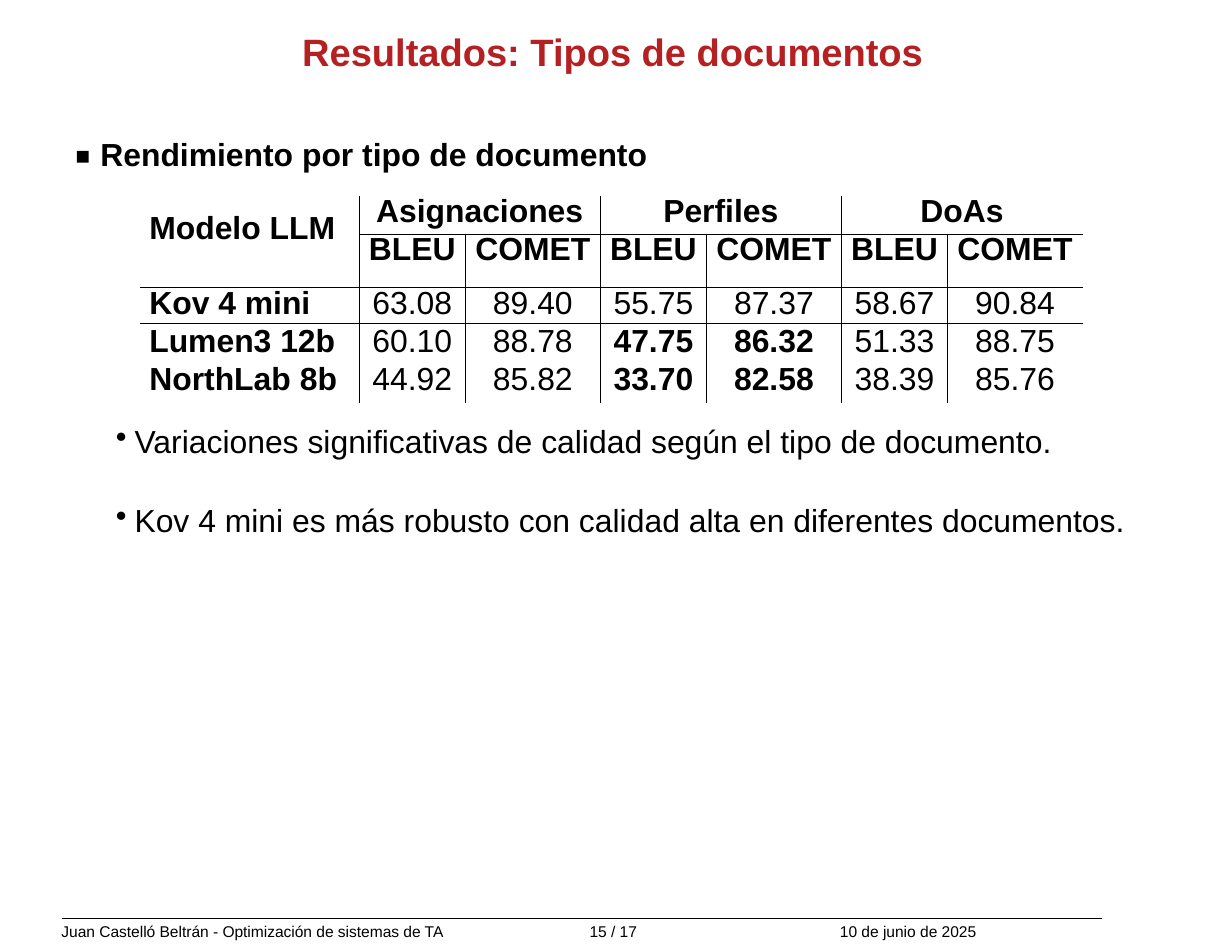
from dataclasses import dataclass

from lxml import etree
from pptx import Presentation
from pptx.dml.color import RGBColor
from pptx.enum import shapes, text
from pptx.oxml.ns import qn
from pptx.util import Pt


@dataclass(frozen=True)
class Theme:
    font: str = "Arial"
    ink: str = "000000"
    accent: str = "B52123"
    title: float = 24.5
    body: float = 20.5
    footer: float = 10
    rule: float = 0.5


GROUPS = ["Asignaciones", "Perfiles", "DoAs"]
RESULTS = [
    ["Kov 4 mini", "63.08", "89.40", "55.75", "87.37", "58.67", "90.84"],
    ["Lumen3 12b", "60.10", "88.78", "47.75", "86.32", "51.33", "88.75"],
    ["NorthLab 8b", "44.92", "85.82", "33.70", "82.58", "38.39", "85.76"],
]
HIGHLIGHTS = {"47.75", "86.32", "33.70", "82.58"}
COLUMN_WIDTHS = [141] + [68.25, 86.75] * len(GROUPS)
ROW_HEIGHTS = [24.75, 34, 23, 24.75, 26.5]
LINE_SPACINGS = [21.4, 21.2, 21.6, 23.2, 23.2]


def rule_left(row, col):
    """Whether a rule runs along the left edge of this grid position."""
    return 0 < col < len(COLUMN_WIDTHS) and (row > 0 or col % 2 == 1)


def rule_above(row, col):
    """Whether a rule runs along the top edge of this grid position."""
    return row in (2, 3) or (row == 1 and col > 0)


class SlideBuilder:
    def __init__(self, slide, theme):
        self.slide = slide
        self.theme = theme

    def style(self, paragraph, size, bold=False, color=None):
        font = paragraph.font
        font.name, font.size, font.bold = self.theme.font, Pt(size), bold
        font.color.rgb = RGBColor.from_string(color or self.theme.ink)

    def text(self, left, top, width, height, lines, size, bold=False, color=None,
             align=text.PP_ALIGN.LEFT, wrap=False, bullet=None, gap=0):
        box = self.slide.shapes.add_textbox(Pt(left), Pt(top), Pt(width), Pt(height))
        frame = box.text_frame
        frame.word_wrap = wrap
        frame.margin_left = frame.margin_right = frame.margin_bottom = 0
        frame.margin_top = Pt(1.5)
        frame.text = "\n".join(lines)
        for index, paragraph in enumerate(frame.paragraphs):
            paragraph.alignment = align
            paragraph.space_before = Pt(gap if index else 1)
            self.style(paragraph, size, bold, color)
            if bullet:
                self.bullet(paragraph, bullet)

    def bullet(self, paragraph, mark):
        properties = paragraph._p.get_or_add_pPr()
        properties.set("marL", str(Pt(13)))
        properties.set("indent", str(Pt(-12)))
        bullet = etree.Element(qn("a:buChar"), char=mark)
        properties.find(qn("a:defRPr")).addprevious(bullet)

    def square(self, left, top, side):
        square = self.slide.shapes.add_shape(
            shapes.MSO_SHAPE.RECTANGLE, Pt(left), Pt(top), Pt(side), Pt(side))
        square.shadow.inherit = False
        square.fill.solid()
        square.fill.fore_color.rgb = RGBColor.from_string(self.theme.ink)
        square.line.fill.background()

    def line(self, left, right, y):
        line = self.slide.shapes.add_connector(
            shapes.MSO_CONNECTOR.STRAIGHT, Pt(left), Pt(y), Pt(right), Pt(y))
        line.line.width = Pt(self.theme.rule)
        line.line.color.rgb = RGBColor.from_string(self.theme.ink)
        etree.SubElement(line._element.spPr, qn("a:effectLst"))

    def borders(self, cell, row, col):
        down = cell.span_height if cell.is_merge_origin else 1
        across = cell.span_width if cell.is_merge_origin else 1
        edges = {
            "L": rule_left(row, col),
            "R": rule_left(row, col + across),
            "T": rule_above(row, col),
            "B": rule_above(row + down, col),
        }
        properties = cell._tc.get_or_add_tcPr()
        for side, drawn in edges.items():
            edge = etree.SubElement(properties, qn(f"a:ln{side}"), w=str(Pt(self.theme.rule)))
            if drawn:
                fill = etree.SubElement(edge, qn("a:solidFill"))
                etree.SubElement(fill, qn("a:srgbClr"), val=self.theme.ink)
            else:
                etree.SubElement(edge, qn("a:noFill"))

    def cell(self, cell, row, col, content):
        self.borders(cell, row, col)
        cell.fill.background()
        cell.margin_left = Pt(0 if col else 6)
        cell.margin_right = cell.margin_bottom = 0
        heading = row == 0 and col == 0
        cell.margin_top = Pt(9.4 if heading else 0)
        cell.text = content
        paragraph = cell.text_frame.paragraphs[0]
        paragraph.alignment = text.PP_ALIGN.CENTER if col else text.PP_ALIGN.LEFT
        if not heading:
            paragraph.line_spacing = Pt(LINE_SPACINGS[row])
        bold = row < 2 or col == 0 or content in HIGHLIGHTS
        self.style(paragraph, self.theme.body, bold)

    def table(self, left, top, rows):
        frame = self.slide.shapes.add_table(
            len(rows), len(COLUMN_WIDTHS), Pt(left), Pt(top),
            Pt(sum(COLUMN_WIDTHS)), Pt(sum(ROW_HEIGHTS)))
        table = frame.table
        table.first_row = table.horz_banding = False
        for column, width in zip(table.columns, COLUMN_WIDTHS):
            column.width = Pt(width)
        for row, height in zip(table.rows, ROW_HEIGHTS):
            row.height = Pt(height)
        table.cell(0, 0).merge(table.cell(1, 0))
        for col in range(1, len(COLUMN_WIDTHS), 2):
            table.cell(0, col).merge(table.cell(0, col + 1))
        for row, contents in enumerate(rows):
            for col, content in enumerate(contents):
                self.cell(table.cell(row, col), row, col, content)


def main():
    deck = Presentation()
    deck.slide_width, deck.slide_height = Pt(792), Pt(612)
    theme = Theme()
    page = SlideBuilder(deck.slides.add_slide(deck.slide_layouts[6]), theme)

    page.text(84, 16.5, 620, 37, ["Resultados: Tipos de documentos"], theme.title,
              bold=True, color=theme.accent, align=text.PP_ALIGN.CENTER, wrap=True)
    page.square(49.5, 97, 7.5)
    page.text(64.5, 85, 356, 27, ["Rendimiento por tipo de documento"], theme.body, bold=True)

    group_row = [label for group in GROUPS for label in (group, "")]
    page.table(90, 126, [
        ["Modelo LLM"] + group_row,
        [""] + ["BLEU", "COMET"] * len(GROUPS),
        *RESULTS,
    ])

    page.text(73.5, 269.5, 670, 76, [
        "Variaciones significativas de calidad según el tipo de documento.",
        "Kov 4 mini es más robusto con calidad alta en diferentes documentos.",
    ], theme.body, wrap=True, bullet="•", gap=26.5)

    page.line(39.6, 708.5, 590.4)
    footers = [
        (39.5, 250, "Juan Castelló Beltrán - Optimización de sistemas de TA"),
        (379, 32, "15 / 17"),
        (540, 89, "10 de junio de 2025"),
    ]
    for left, width, content in footers:
        page.text(left, 591, width, 14, [content], theme.footer)

    deck.save("out.pptx")


if __name__ == "__main__":
    main()
